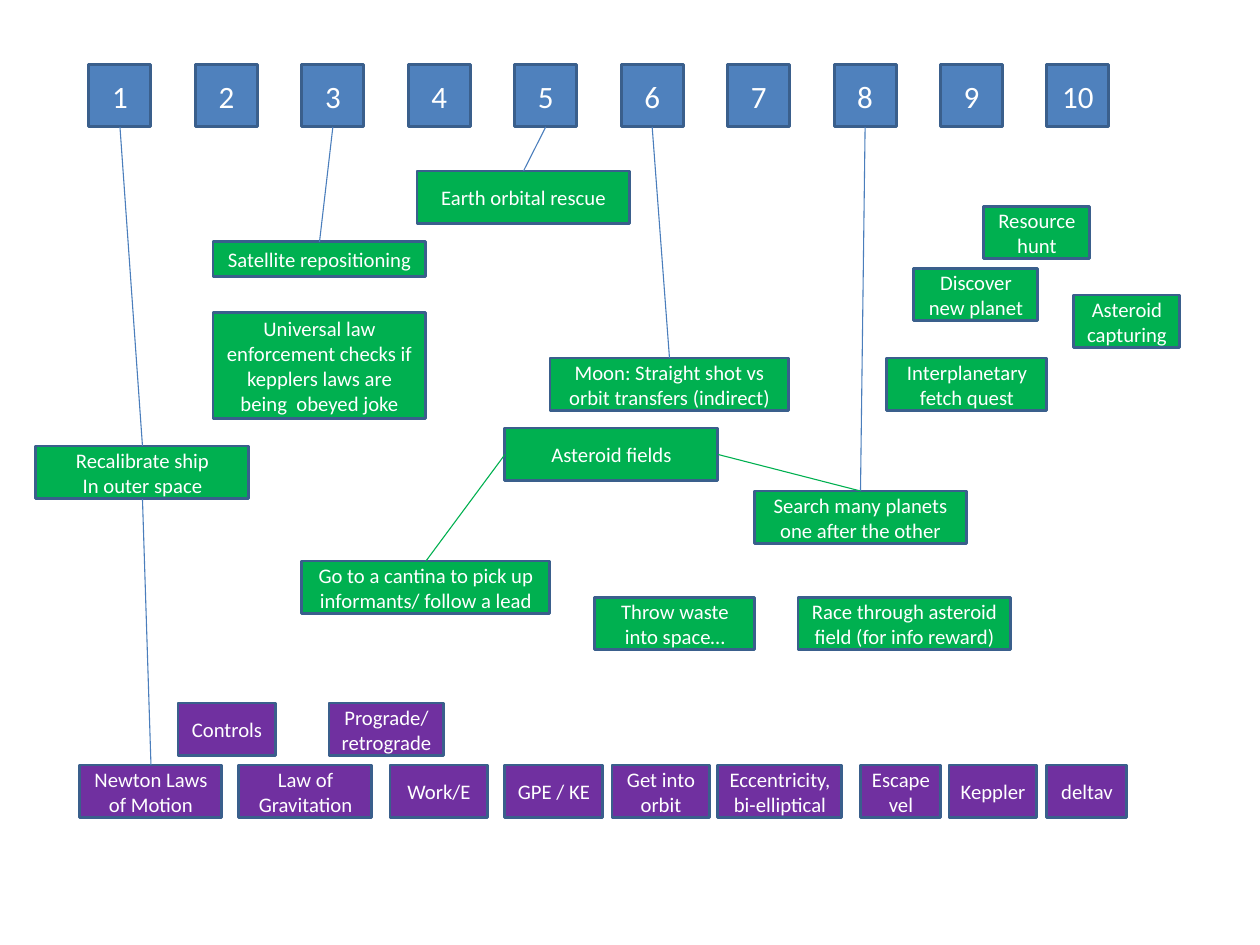
from collections import namedtuple

from lxml import etree
from pptx import Presentation
from pptx.dml.color import RGBColor
from pptx.enum import shapes, text
from pptx.oxml.ns import qn
from pptx.util import Emu, Pt

SCALE = 914400 / 106.4  # EMU per pixel
BLUE = RGBColor(0x4F, 0x81, 0xBD)
GREEN = RGBColor(0x00, 0xB0, 0x50)
PURPLE = RGBColor(0x70, 0x30, 0xA0)
BORDER = RGBColor(0x3A, 0x5F, 0x8C)
LINK = RGBColor(0x4B, 0x7E, 0xBC)
WHITE = RGBColor(0xFF, 0xFF, 0xFF)

Box = namedtuple("Box", "left top width height")
TOP, LEFT, BOTTOM, RIGHT = range(4)  # connection sites of a rectangle
CARD_HEIGHT = 53
LOWER_ROW = 62

# Label, left, top, width and, where it is not the usual one, height
QUESTS = [
    ("Satellite repositioning", 177, 71, 213, 35),
    ("Moon: Straight shot vs orbit transfers (indirect)", 514, 187, 239),
    ("Recalibrate ship\nIn outer space", 0, 275, 213),
    ("Earth orbital rescue", 381, 0, 213),
    ("Throw waste into space…", 559, 426, 160),
    ("Search many planets one after the other", 718, 320, 213),
    ("Go to a cantina to pick up informants/ follow a lead", 266, 390, 248),
    ("Asteroid fields", 469, 257, 213),
    ("Race through asteroid field (for info reward)", 762, 426, 213),
    ("Interplanetary fetch quest", 851, 187, 160),
    ("Discover new planet", 878, 97, 124),
    ("Resource hunt", 948, 35, 106),
    ("Asteroid capturing", 1038, 124, 106),
    ("Universal law enforcement checks if kepplers laws are being  obeyed joke",
     177, 142, 213, 106),
]
TOPICS = [
    ("Controls", 98, 0, 98),
    ("Prograde/retrograde", 249, 0, 115),
    ("Newton Laws of Motion", 0, LOWER_ROW, 142),
    ("Law of Gravitation", 159, LOWER_ROW, 133),
    ("Work/E", 310, LOWER_ROW, 98),
    ("GPE / KE", 425, LOWER_ROW, 98),
    ("Get into orbit", 532, LOWER_ROW, 98),
    ("Eccentricity, bi-elliptical", 638, LOWER_ROW, 124),
    ("Escape vel", 781, LOWER_ROW, 80),
    ("Keppler", 869, LOWER_ROW, 88),
    ("deltav", 967, LOWER_ROW, 80),
]
# Start card and site, end card and site, colour
LINKS = [
    ("Newton Laws of Motion", TOP, "Recalibrate ship\nIn outer space", BOTTOM, LINK),
    ("Satellite repositioning", TOP, "3", BOTTOM, LINK),
    ("Earth orbital rescue", TOP, "5", BOTTOM, LINK),
    ("1", BOTTOM, "Recalibrate ship\nIn outer space", TOP, LINK),
    ("6", BOTTOM, "Moon: Straight shot vs orbit transfers (indirect)", TOP, LINK),
    ("8", BOTTOM, "Search many planets one after the other", TOP, LINK),
    ("Asteroid fields", RIGHT, "Search many planets one after the other", TOP, GREEN),
    ("Asteroid fields", LEFT, "Go to a cantina to pick up informants/ follow a lead",
     TOP, GREEN),
]


def px(length):
    return Emu(round(length * SCALE))


def set_attributes(target, values):
    for name, value in values.items():
        setattr(target, name, value)


def add_card(slide, box, label, fill, size):
    shape = slide.shapes.add_shape(shapes.MSO_SHAPE.RECTANGLE, *map(px, box))
    shape.shadow.inherit = False
    shape.fill.solid()
    shape.fill.fore_color.rgb = fill
    shape.line.color.rgb = BORDER
    shape.line.width = Pt(2)
    frame = shape.text_frame
    set_attributes(frame, {"text": label, "word_wrap": True,
                           "vertical_anchor": text.MSO_ANCHOR.MIDDLE})
    for paragraph in frame.paragraphs:
        paragraph.alignment = text.PP_ALIGN.CENTER
        for run in paragraph.runs:
            set_attributes(run.font, {"name": "Calibri", "size": Pt(size)})
            run.font.color.rgb = WHITE
    return shape


def add_levels(slide, box, count):
    """Evenly spaced numbered squares filling the width of the box."""
    side = box.height
    step = (box.width - side) / (count - 1)
    return {
        str(index + 1): add_card(
            slide, Box(box.left + index * step, box.top, side, side),
            str(index + 1), BLUE, 21)
        for index in range(count)
    }


def add_cards(slide, box, cards, fill):
    """Labelled cards, each placed from the corner of the box."""
    return {
        label: add_card(
            slide, Box(box.left + left, box.top + top, width, *(height or [CARD_HEIGHT])),
            label, fill, 14)
        for label, left, top, width, *height in cards
    }


def add_links(slide, cards):
    for start, start_site, end, end_site, color in LINKS:
        connector = slide.shapes.add_connector(
            shapes.MSO_CONNECTOR.STRAIGHT, 0, 0, 0, 0)
        connector.begin_connect(cards[start], start_site)
        connector.end_connect(cards[end], end_site)
        connector.line.color.rgb = color
        connector.line.width = Pt(0.75)
        etree.SubElement(connector._element.spPr, qn("a:effectLst"))


presentation = Presentation()
set_attributes(presentation, {"slide_width": px(1260), "slide_height": px(945)})
slide = presentation.slides.add_slide(presentation.slide_layouts[6])

# Levels on top, quests in the middle, physics topics below
cards = {
    **add_levels(slide, Box(89, 65, 1020, 62), 10),
    **add_cards(slide, Box(36, 171, 1144, 479), QUESTS, GREEN),
    **add_cards(slide, Box(80, 703, 1047, 115), TOPICS, PURPLE),
}
# Lines between related cards
add_links(slide, cards)

presentation.save("out.pptx")
